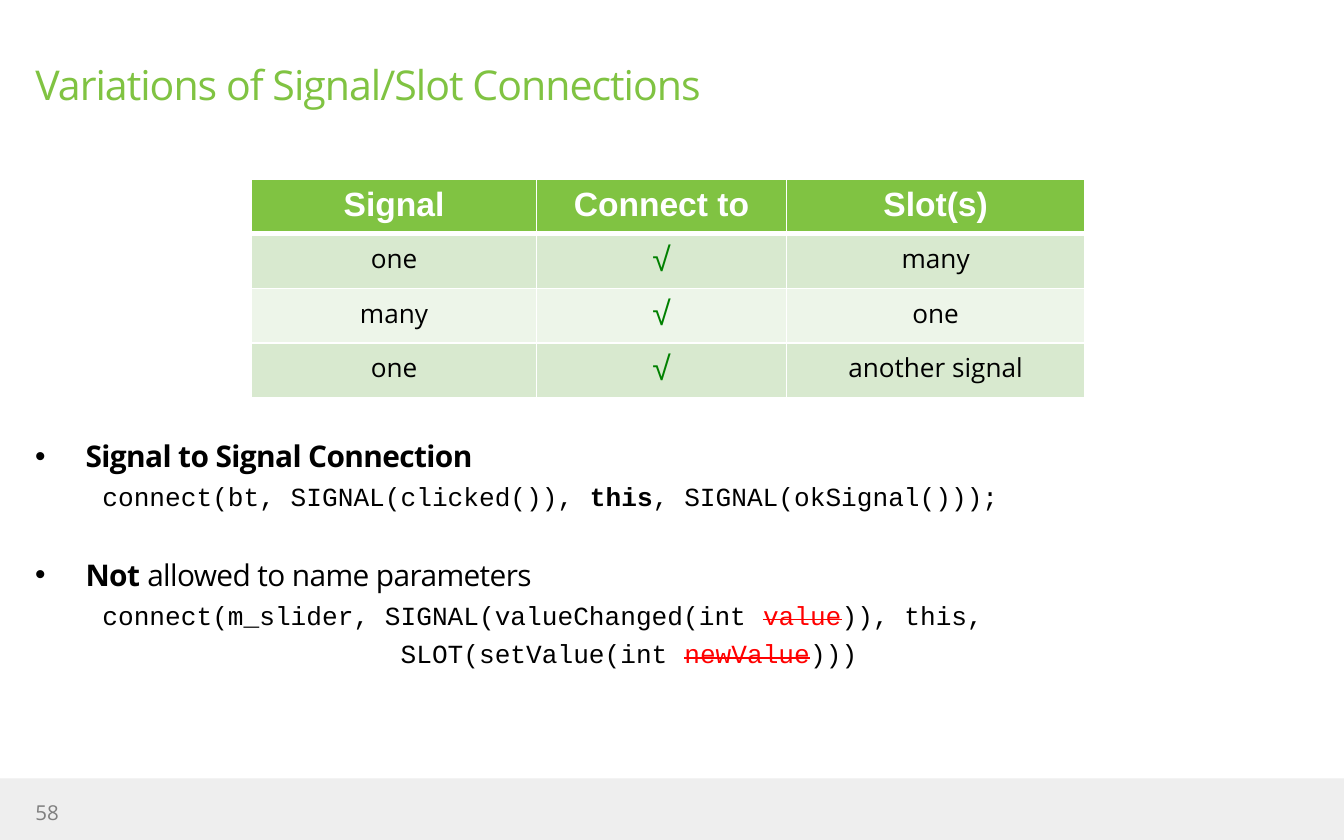
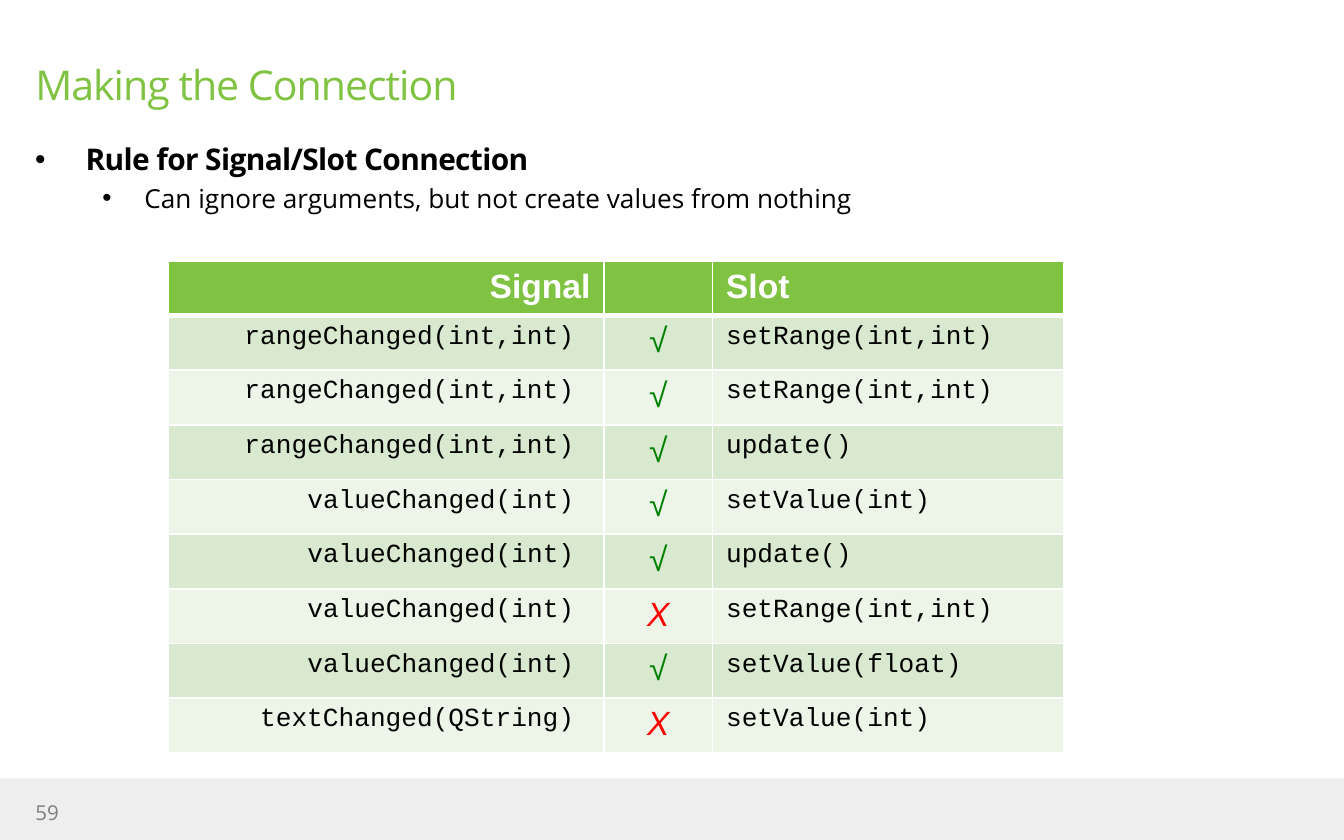
from dataclasses import dataclass

from lxml import etree
from pptx import Presentation
from pptx.dml.color import RGBColor
from pptx.enum import shapes, text
from pptx.oxml import ns
from pptx.util import Pt

GREEN = RGBColor(0x80, 0xC3, 0x42)
BAND_DARK = RGBColor(0xD8, 0xE9, 0xCF)
BAND_LIGHT = RGBColor(0xED, 0xF5, 0xE9)
FOOTER_GREY = RGBColor(0xEE, 0xEE, 0xEE)
NUMBER_GREY = RGBColor(0x7F, 0x7F, 0x7F)
BLACK = RGBColor(0, 0, 0)
WHITE = RGBColor(0xFF, 0xFF, 0xFF)
RED = RGBColor(0xFF, 0, 0)
TICK_GREEN = RGBColor(0, 0x80, 0)

SLIDE_WIDTH, SLIDE_HEIGHT = 720, 450
LEFT = 18.9
FOOTER_TOP = 417
BODY_WIDTH = 592
ROW_HEIGHT = 29.3

ALIGN = text.PP_ALIGN


@dataclass(frozen=True)
class Style:
    font: str
    size: float
    color: RGBColor = BLACK
    bold: bool = False
    italic: bool = False
    tracking: float = 0
    margin: float = 0
    indent: float = 0
    bullet: bool = False


@dataclass(frozen=True)
class Span:
    text: str
    bold: bool | None = None
    struck: bool = False


@dataclass(frozen=True)
class Line:
    style: Style
    spans: tuple[Span, ...]
    before: float = 0


@dataclass(frozen=True)
class Grid:
    left: float
    top: float
    widths: tuple[float, ...]
    aligns: tuple[text.PP_ALIGN, ...]
    entry: Style
    rows: tuple[tuple[str, ...], ...]


TITLE = Style("Open Sans", 22, GREEN, tracking=-0.5)
NUMBER = Style("Open Sans", 11, NUMBER_GREY)
TOPIC = Style("Open Sans", 16, tracking=-0.3, margin=27, indent=-27, bullet=True)
DETAIL = Style("Open Sans", 14, margin=58.5, indent=-22.5, bullet=True)
CODE = Style("Courier New", 14, margin=36)
HEADER = Style("Arial", 18, WHITE, bold=True)
WORD = Style("Open Sans", 14)
SIGNATURE = Style("Courier New", 14)
MARKS = {
    "√": Style("Arial", 18, TICK_GREEN),
    "X": Style("Arial", 18, RED, italic=True),
}


def apply_style(paragraph, style: Style) -> None:
    properties = paragraph._p.get_or_add_pPr()
    if style.margin:
        properties.set("marL", str(Pt(style.margin)))
        properties.set("indent", str(Pt(style.indent)))
    if style.bullet:
        etree.SubElement(properties, ns.qn("a:buFont"), typeface="Arial")
        etree.SubElement(properties, ns.qn("a:buChar"), char="•")
    font = paragraph.font
    font.name = style.font
    font.size = Pt(style.size)
    font.bold = style.bold
    font.italic = style.italic
    font.color.rgb = style.color
    if style.tracking:
        properties.find(ns.qn("a:defRPr")).set("spc", str(round(style.tracking * 100)))


def add_line(paragraph, line: Line) -> None:
    if line.before:
        paragraph.space_before = Pt(line.before)
    apply_style(paragraph, line.style)
    for span in line.spans:
        run = paragraph.add_run()
        run.text = span.text
        if span.bold is not None:
            run.font.bold = span.bold
        if span.struck:
            run.font.color.rgb = RED
            run._r.get_or_add_rPr().set("strike", "sngStrike")


def add_lines(slide, top: float, width: float, height: float, lines: list[Line],
              anchor=text.MSO_ANCHOR.TOP) -> None:
    box = slide.shapes.add_textbox(Pt(LEFT), Pt(top), Pt(width), Pt(height))
    frame = box.text_frame
    frame.word_wrap = True
    frame.vertical_anchor = anchor
    frame.margin_left = frame.margin_right = frame.margin_top = frame.margin_bottom = 0
    for index, line in enumerate(lines):
        add_line(frame.add_paragraph() if index else frame.paragraphs[0], line)


def add_borders(cell, top: float, bottom: float) -> None:
    properties = cell._tc.get_or_add_tcPr()
    for side, width in (("lnL", 1), ("lnR", 1), ("lnT", top), ("lnB", bottom)):
        border = etree.SubElement(properties, ns.qn(f"a:{side}"), w=str(Pt(width)))
        fill = etree.SubElement(border, ns.qn("a:solidFill"))
        etree.SubElement(fill, ns.qn("a:srgbClr"), val=str(WHITE))


def add_grid(slide, grid: Grid) -> None:
    frame = slide.shapes.add_table(
        len(grid.rows), len(grid.widths), Pt(grid.left), Pt(grid.top),
        Pt(sum(grid.widths)), Pt(ROW_HEIGHT * len(grid.rows)))
    table = frame.table
    for column, width in zip(table.columns, grid.widths):
        column.width = Pt(width)
    for r, entries in enumerate(grid.rows):
        table.rows[r].height = Pt(ROW_HEIGHT)
        for c, entry in enumerate(entries):
            cell = table.cell(r, c)
            add_borders(cell, 3 if r == 1 else 1, 3 if r == 0 else 1)
            cell.fill.solid()
            cell.fill.fore_color.rgb = (
                GREEN if r == 0 else BAND_DARK if r % 2 else BAND_LIGHT)
            paragraph = cell.text_frame.paragraphs[0]
            paragraph.alignment = grid.aligns[c]
            style = HEADER if r == 0 else MARKS.get(entry, grid.entry)
            spans = (Span(entry),) if entry else ()
            add_line(paragraph, Line(style, spans))


def add_page(deck, title: str, number: int):
    slide = deck.slides.add_slide(deck.slide_layouts[6])
    footer = slide.shapes.add_shape(
        shapes.MSO_SHAPE.RECTANGLE, 0, Pt(FOOTER_TOP),
        Pt(SLIDE_WIDTH), Pt(SLIDE_HEIGHT - FOOTER_TOP))
    footer.shadow.inherit = False
    footer.fill.solid()
    footer.fill.fore_color.rgb = FOOTER_GREY
    footer.line.fill.background()
    add_lines(slide, 31.7, 486, 62, [Line(TITLE, (Span(title),))])
    add_lines(slide, 428.4, 178, 13.7, [Line(NUMBER, (Span(str(number)),))],
              text.MSO_ANCHOR.MIDDLE)
    return slide


def build_variations(deck) -> None:
    slide = add_page(deck, "Variations of Signal/Slot Connections", 58)
    add_lines(slide, 234.7, BODY_WIDTH, 168.5, [
        Line(TOPIC, (Span("Signal to Signal Connection", bold=True),)),
        Line(CODE, (Span("connect(bt, SIGNAL(clicked()), "),
                    Span("this", bold=True),
                    Span(", SIGNAL(okSignal()));")), 3.6),
        Line(TOPIC, (Span("Not ", bold=True), Span("allowed to name parameters")), 24),
        Line(CODE, (Span("connect(m_slider, SIGNAL(valueChanged(int "),
                    Span("value", struck=True),
                    Span(")), this,")), 3.6),
        Line(CODE, (Span("                   SLOT(setValue(int "),
                    Span("newValue", struck=True),
                    Span(")))")), 3.6),
    ])
    add_grid(slide, Grid(
        134.8, 96, (152.7, 133.9, 159.8), (ALIGN.CENTER,) * 3, WORD, (
            ("Signal", "Connect to", "Slot(s)"),
            ("one", "√", "many"),
            ("many", "√", "one"),
            ("one", "√", "another signal"),
        )))


def build_connection(deck) -> None:
    slide = add_page(deck, "Making the Connection", 59)
    add_lines(slide, 75.6, BODY_WIDTH, 64, [
        Line(TOPIC, (Span("Rule for Signal/Slot Connection", bold=True),)),
        Line(DETAIL, (Span("Can ignore arguments, but not create values from nothing"),),
             2.8),
    ])
    add_grid(slide, Grid(
        90.2, 139.8, (233.3, 58.3, 188), (ALIGN.RIGHT, ALIGN.CENTER, ALIGN.LEFT),
        SIGNATURE, (
            ("Signal", "", "Slot"),
            ("rangeChanged(int,int) ", "√", "setRange(int,int)"),
            ("rangeChanged(int,int) ", "√", "setRange(int,int)"),
            ("rangeChanged(int,int) ", "√", "update()"),
            ("valueChanged(int) ", "√", "setValue(int)"),
            ("valueChanged(int) ", "√", "update()"),
            ("valueChanged(int) ", "X", "setRange(int,int)"),
            ("valueChanged(int) ", "√", "setValue(float)"),
            ("textChanged(QString) ", "X", "setValue(int)"),
        )))


def main() -> None:
    deck = Presentation()
    deck.slide_width, deck.slide_height = Pt(SLIDE_WIDTH), Pt(SLIDE_HEIGHT)
    build_variations(deck)
    build_connection(deck)
    deck.save("out.pptx")


if __name__ == "__main__":
    main()
